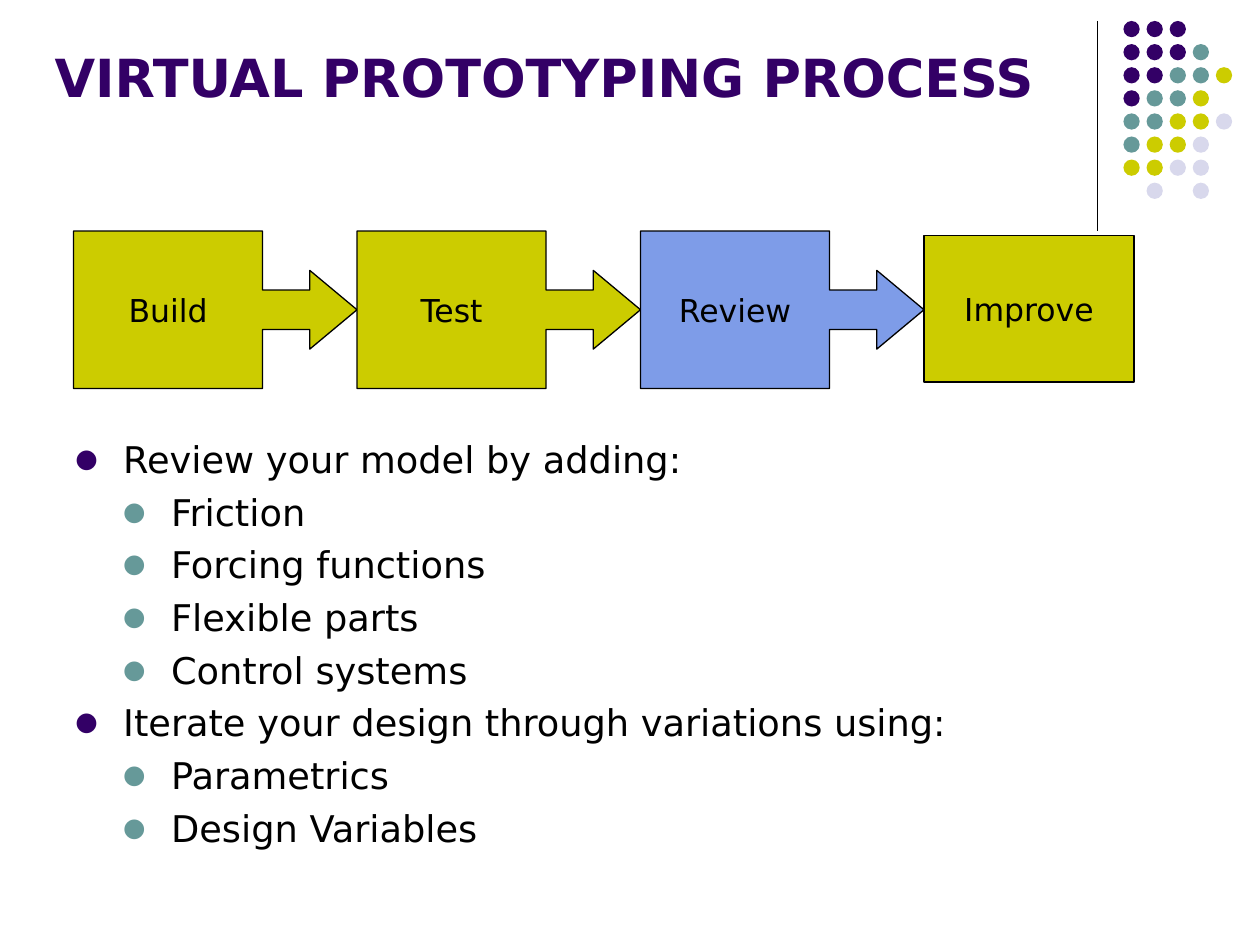
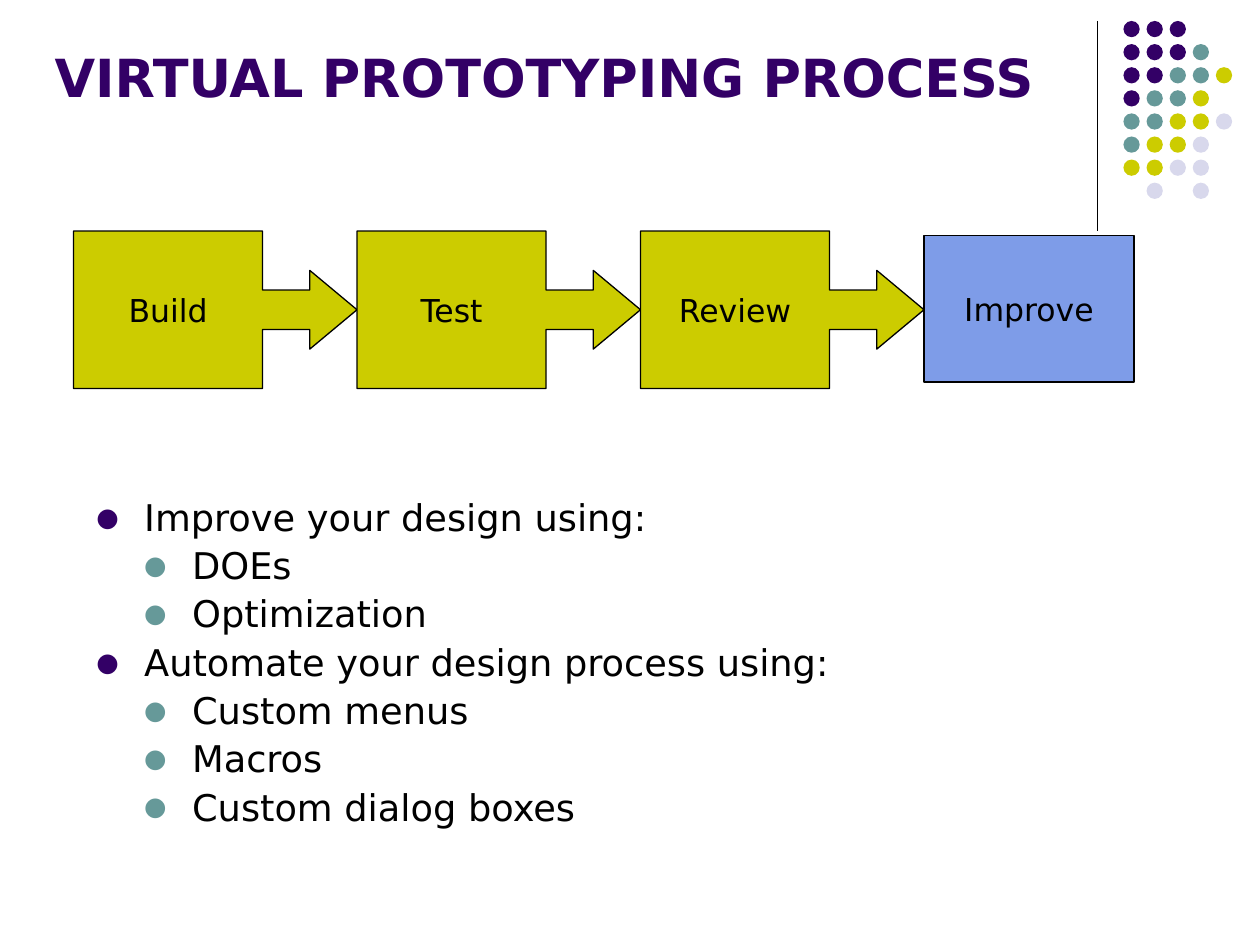
import dataclasses
import typing

import lxml.etree
import pptx
import pptx.dml.color
import pptx.enum.shapes
import pptx.enum.text
import pptx.oxml.ns
import pptx.util

RGBColor = pptx.dml.color.RGBColor
SHAPE = pptx.enum.shapes.MSO_SHAPE
ALIGN = pptx.enum.text.PP_ALIGN
qn = pptx.oxml.ns.qn

# Shared look
PURPLE = RGBColor(0x33, 0x00, 0x66)
TEAL = RGBColor(0x66, 0x99, 0x99)
LIME = RGBColor(0xCC, 0xCC, 0x00)
PALE = RGBColor(0xD8, 0xD8, 0xEC)
BLUE = RGBColor(0x7E, 0x9C, 0xE8)
BLACK = RGBColor(0x00, 0x00, 0x00)
FONT = "DejaVu Sans"
TITLE = "VIRTUAL PROTOTYPING PROCESS"
STEPS = ("Build", "Test", "Review", "Improve")
INDENT = 0.38
TEXT_SIZE = 21
SPACE = 4.9

# One row per line of dots; a blank leaves a gap
DOTS = ("PPP", "PPPT", "PPTTL", "PTTL", "TTLLV", "TLLV", "LLVV", " V V")
TINTS = {"P": PURPLE, "T": TEAL, "L": LIME, "V": PALE}
DOT_STEP = 2.2
DOT_SIZE = 1.55

# Slide grid: 120 columns by 90 rows
WIDTH = pptx.util.Inches(10)
HEIGHT = pptx.util.Inches(7.5)
COLS, ROWS = 120, 90


@dataclasses.dataclass(frozen=True)
class Box:
    """Place on the grid, in columns and rows."""
    col: float
    row: float
    wide: float
    high: float

    def place(self) -> tuple[int, int, int, int]:
        return (round(self.col * WIDTH / COLS), round(self.row * HEIGHT / ROWS),
                round(self.wide * WIDTH / COLS), round(self.high * HEIGHT / ROWS))


@dataclasses.dataclass(frozen=True)
class Item:
    text: str
    level: int = 1


@dataclasses.dataclass(frozen=True)
class Page:
    active: str
    body: Box
    items: tuple[Item, ...]
    pitch: float


PAGES = (
    Page("Review", Box(6, 41, 102, 43), (
        Item("Review your model by adding:", 0),
        Item("Friction"),
        Item("Forcing functions"),
        Item("Flexible parts"),
        Item("Control systems"),
        Item("Iterate your design through variations using:", 0),
        Item("Parametrics"),
        Item("Design Variables"),
    ), 1.0),
    Page("Improve", Box(8, 47, 102, 34), (
        Item("Improve your design using:", 0),
        Item("DOEs"),
        Item("Optimization"),
        Item("Automate your design process using:", 0),
        Item("Custom menus"),
        Item("Macros"),
        Item("Custom dialog boxes"),
    ), 0.9),
)


def style(para: typing.Any, size: float, color: RGBColor, bold: bool = False) -> None:
    for run in para.runs:
        run.font.name = FONT
        run.font.size = pptx.util.Pt(size)
        run.font.bold = bold
        run.font.color.rgb = color


def add_form(shapes: typing.Any, kind: typing.Any, box: Box, fill: RGBColor) -> typing.Any:
    form = shapes.add_shape(kind, *box.place())
    form.shadow.inherit = False
    form.fill.solid()
    form.fill.fore_color.rgb = fill
    form.line.fill.background()
    return form


def add_title(slide: typing.Any) -> None:
    title = slide.shapes.title
    title.left, title.top, title.width, title.height = Box(4, 2, 99, 10.5).place()
    frame = title.text_frame
    frame.text = TITLE
    frame.word_wrap = True
    frame.auto_size = pptx.enum.text.MSO_AUTO_SIZE.NONE
    frame.vertical_anchor = pptx.enum.text.MSO_ANCHOR.MIDDLE
    frame.paragraphs[0].alignment = ALIGN.LEFT
    style(frame.paragraphs[0], 30, PURPLE, True)


def add_corner(slide: typing.Any) -> None:
    # Upright rule
    left, top, _, high = Box(104.5, 2, 0, 20).place()
    rule = slide.shapes.add_connector(
        pptx.enum.shapes.MSO_CONNECTOR.STRAIGHT, left, top, left, top + high)
    rule.line.color.rgb = BLACK
    rule.line.width = pptx.util.Pt(0.75)
    lxml.etree.SubElement(rule._element.spPr, qn("a:effectLst"))

    # Dot pattern
    group = slide.shapes.add_group_shape()
    for row, marks in enumerate(DOTS):
        for col, mark in enumerate(marks):
            if mark in TINTS:
                box = Box(107 + col * DOT_STEP, 2 + row * DOT_STEP, DOT_SIZE, DOT_SIZE)
                add_form(group.shapes, SHAPE.OVAL, box, TINTS[mark])


def add_steps(slide: typing.Any, active: str) -> None:
    for index, name in enumerate(STEPS):
        last = index == len(STEPS) - 1
        left = 7 + 27 * index
        box = Box(left, 22.4, 20, 14) if last else Box(left, 22, 27, 15)
        kind = SHAPE.RECTANGLE if last else SHAPE.RIGHT_ARROW_CALLOUT
        step = add_form(slide.shapes, kind, box, BLUE if name == active else LIME)
        if not last:
            for spot, value in enumerate((0.25, 0.25, 0.3, 0.667)):
                step.adjustments[spot] = value
        step.line.color.rgb = BLACK
        step.line.width = pptx.util.Pt(0.75)
        frame = step.text_frame
        frame.text = name
        frame.word_wrap = False
        frame.vertical_anchor = pptx.enum.text.MSO_ANCHOR.MIDDLE
        frame.paragraphs[0].alignment = ALIGN.CENTER
        style(frame.paragraphs[0], 18, BLACK)


def add_bullet(para: typing.Any, level: int) -> None:
    props = para._p.get_or_add_pPr()
    indent = pptx.util.Inches(INDENT)
    props.set("marL", str(indent * (level + 1)))
    props.set("indent", str(-indent))
    color = lxml.etree.SubElement(props, qn("a:buClr"))
    lxml.etree.SubElement(color, qn("a:srgbClr"), val=str(TEAL if level else PURPLE))
    lxml.etree.SubElement(props, qn("a:buSzPct"), val="70000")
    lxml.etree.SubElement(props, qn("a:buFont"), typeface=FONT)
    lxml.etree.SubElement(props, qn("a:buChar"), char="●")


def add_body(slide: typing.Any, page: Page) -> None:
    frame = slide.shapes.add_textbox(*page.body.place()).text_frame
    frame.word_wrap = True
    for index, item in enumerate(page.items):
        para = frame.add_paragraph() if index else frame.paragraphs[0]
        para.text = item.text
        para.level = item.level
        para.line_spacing = page.pitch
        para.space_before = pptx.util.Pt(SPACE)
        add_bullet(para, item.level)
        style(para, TEXT_SIZE, BLACK)


def main() -> None:
    deck = pptx.Presentation()
    deck.slide_width, deck.slide_height = WIDTH, HEIGHT
    layout = deck.slide_layouts.get_by_name("Title Only")
    for page in PAGES:
        slide = deck.slides.add_slide(layout)
        add_corner(slide)
        add_steps(slide, page.active)
        add_title(slide)
        add_body(slide, page)
    deck.save("out.pptx")


if __name__ == "__main__":
    main()
